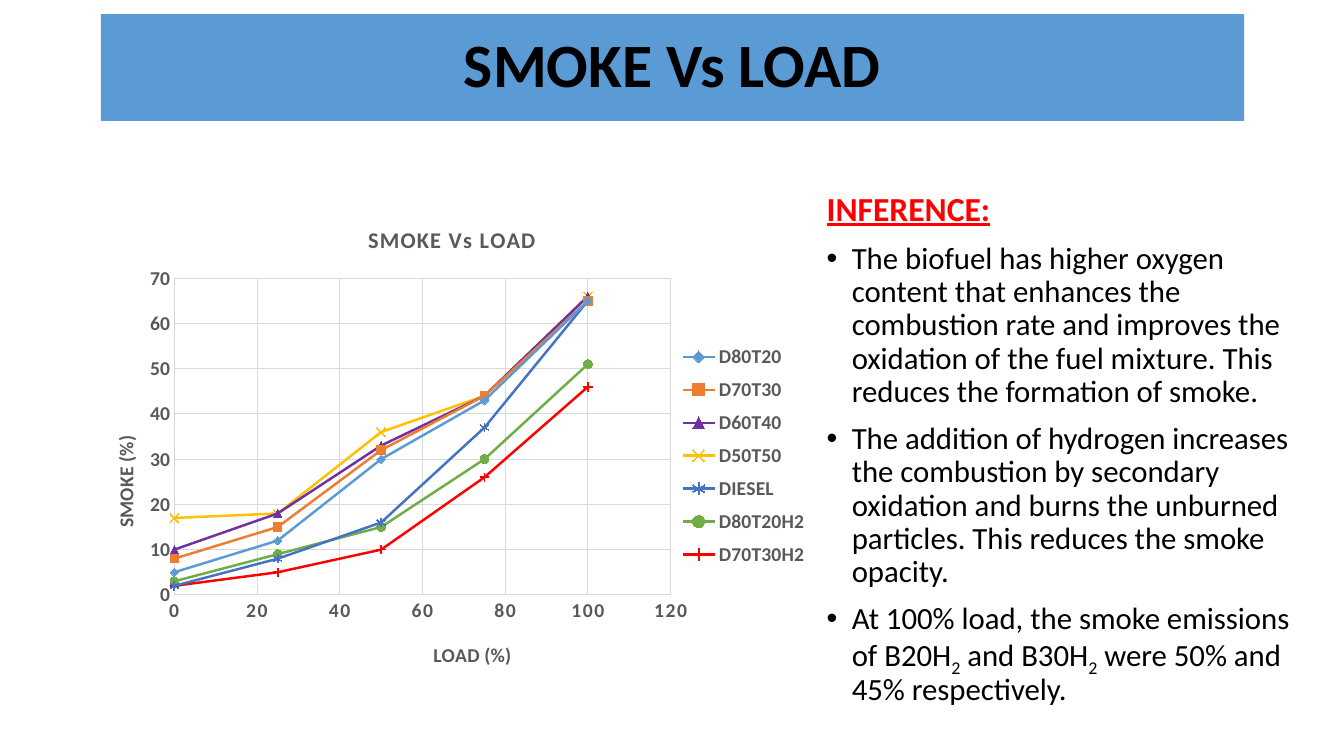
import pptx
import pptx.chart.data
import pptx.dml.color
import pptx.enum.chart
import pptx.enum.text
import pptx.oxml
import pptx.oxml.ns
import pptx.util

Inches = pptx.util.Inches
Pt = pptx.util.Pt
RGBColor = pptx.dml.color.RGBColor
Chart = pptx.enum.chart
qn = pptx.oxml.ns.qn

FACE = "Calibri"
BLACK = RGBColor(0x00, 0x00, 0x00)
RED = RGBColor(0xFF, 0x00, 0x00)
BLUE = RGBColor(0x5B, 0x9B, 0xD5)
ORANGE = RGBColor(0xED, 0x7D, 0x31)
PURPLE = RGBColor(0x70, 0x30, 0xA0)
GOLD = RGBColor(0xFF, 0xC0, 0x00)
NAVY = RGBColor(0x44, 0x72, 0xC4)
GREEN = RGBColor(0x70, 0xAD, 0x47)
GRAY = RGBColor(0x59, 0x59, 0x59)
PALE = RGBColor(0xD9, 0xD9, 0xD9)

LOADS = (0, 25, 50, 75, 100)
MARK = Chart.XL_MARKER_STYLE
FUELS = [
    ("D80T20", (5, 12, 30, 43, 65), BLUE, MARK.DIAMOND),
    ("D70T30", (8, 15, 32, 44, 65), ORANGE, MARK.SQUARE),
    ("D60T40", (10, 18, 33, 44, 66), PURPLE, MARK.TRIANGLE),
    ("D50T50", (17, 18, 36, 44, 66), GOLD, MARK.X),
    ("DIESEL", (2, 8, 16, 37, 65), NAVY, MARK.STAR),
    ("D80T20H2", (3, 9, 15, 30, 51), GREEN, MARK.CIRCLE),
    ("D70T30H2", (2, 5, 10, 26, 46), RED, MARK.PLUS),
]
POINTS = [
    ["The biofuel has higher oxygen content that enhances the combustion rate and "
     "improves the oxidation of the fuel mixture. This reduces the formation of smoke."],
    ["The addition of hydrogen increases the combustion by secondary oxidation and "
     "burns the unburned particles. This reduces the smoke opacity."],
    ["At 100% load, the smoke emissions of B20H", "2", " and B30H", "2",
     " were 50% and 45% respectively."],
]


def style(font, size, color, bold=False):
    font.name = FACE
    font.size = Pt(size)
    font.bold = bold
    font.color.rgb = color


def add_title(slide, left, top, width, height):
    title = slide.shapes.title
    title.left, title.top = Inches(left), Inches(top)
    title.width, title.height = Inches(width), Inches(height)
    title.fill.solid()
    title.fill.fore_color.rgb = BLUE
    title.text_frame.text = "SMOKE Vs LOAD"
    title.text_frame.vertical_anchor = pptx.enum.text.MSO_ANCHOR.MIDDLE
    para = title.text_frame.paragraphs[0]
    para.alignment = pptx.enum.text.PP_ALIGN.CENTER
    para.line_spacing = 0.9
    style(para.font, 44, BLACK, True)


def add_bullet(para):
    props = para._p.get_or_add_pPr()
    props.set("marL", str(Inches(0.25)))
    props.set("indent", str(Inches(-0.25)))
    font = pptx.oxml.ns.nsdecls("a")
    props.append(pptx.oxml.parse_xml(f'<a:buFont {font} typeface="Arial"/>'))
    props.append(pptx.oxml.parse_xml(f'<a:buChar {font} char="•"/>'))


def add_notes(slide, left, top, width, height):
    box = slide.shapes.add_textbox(
        Inches(left), Inches(top), Inches(width), Inches(height))
    frame = box.text_frame
    frame.word_wrap = True
    head = frame.paragraphs[0]
    head.text = "INFERENCE:"
    head.line_spacing = 0.9
    style(head.font, 24, RED, True)
    head.font.underline = True
    for parts in POINTS:
        para = frame.add_paragraph()
        para.line_spacing = 0.9
        para.space_before = Pt(10)
        add_bullet(para)
        style(para.font, 22, BLACK)
        for part in parts:
            run = para.add_run()
            run.text = part
            if part == "2":
                run.font._element.set("baseline", "-25000")


def place(node, index, **spots):
    for old in node.findall(qn("c:layout")):
        node.remove(old)
    inner = "".join(f'<c:{key} val="{val}"/>' for key, val in spots.items())
    names = pptx.oxml.ns.nsdecls("c")
    node.insert(index, pptx.oxml.parse_xml(
        f"<c:layout {names}><c:manualLayout>{inner}</c:manualLayout></c:layout>"))


def set_title(title, text, size, x, y):
    title.text_frame.text = text
    para = title.text_frame.paragraphs[0]
    style(para.font, size, GRAY, True)
    place(title._element, 1, xMode="edge", yMode="edge", x=x, y=y)
    return para.font


def set_axis(axis, top, step, text, x, y):
    axis.minimum_scale = 0
    axis.maximum_scale = top
    axis.major_unit = step
    axis.major_tick_mark = Chart.XL_TICK_MARK.NONE
    axis.minor_tick_mark = Chart.XL_TICK_MARK.NONE
    axis.has_major_gridlines = True
    for line in (axis.format.line, axis.major_gridlines.format.line):
        line.color.rgb = PALE
        line.width = Pt(0.75)
    axis.tick_labels.number_format = "General"
    axis.tick_labels.number_format_is_linked = False
    style(axis.tick_labels.font, 14, GRAY, True)
    set_title(axis.axis_title, text, 14, x, y)


def set_fuel(plot, color, mark):
    plot.smooth = True
    plot.format.line.color.rgb = color
    plot.format.line.width = Pt(1.75)
    plot.marker.style = mark
    plot.marker.size = 6
    plot.marker.format.line.color.rgb = color
    if mark in (MARK.X, MARK.STAR):
        plot.marker.format.fill.background()
    else:
        plot.marker.format.fill.solid()
        plot.marker.format.fill.fore_color.rgb = color


def add_graph(slide, left, top, width, height):
    data = pptx.chart.data.XyChartData()
    for name, values, color, mark in FUELS:
        fuel = data.add_series(name)
        for load, smoke in zip(LOADS, values):
            fuel.add_data_point(load, smoke)
    chart = slide.shapes.add_chart(
        Chart.XL_CHART_TYPE.XY_SCATTER_SMOOTH, Inches(left), Inches(top),
        Inches(width), Inches(height), data).chart
    style(chart.font, 10, BLACK)
    chart.plots[0].vary_by_categories = False
    for plot, (name, values, color, mark) in zip(chart.plots[0].series, FUELS):
        set_fuel(plot, color, mark)

    chart.has_title = True
    font = set_title(chart.chart_title, "SMOKE Vs LOAD", 16, 0.38, 0.04)
    font._element.set("spc", "100")
    set_axis(chart.category_axis, 120, 20, "LOAD (%)", 0.47, 0.91)
    chart.category_axis.tick_labels.font._element.set("spc", "100")
    set_axis(chart.value_axis, 70, 10, "SMOKE (%)", 0.03, 0.48)

    chart.has_legend = True
    chart.legend.position = Chart.XL_LEGEND_POSITION.RIGHT
    chart.legend.include_in_layout = False
    style(chart.legend.font, 14, GRAY, True)
    place(chart.legend._element, 1, xMode="edge", yMode="edge",
          x=0.81, y=0.28, w=0.18, h=0.5)
    area = chart._chartSpace.find(".//" + qn("c:plotArea"))
    place(area, 0, layoutTarget="inner", xMode="edge", yMode="edge",
          x=0.12, y=0.16, w=0.68, h=0.66)


def main():
    deck = pptx.Presentation()
    deck.slide_width = Inches(13.33)
    deck.slide_height = Inches(7.5)
    slide = deck.slides.add_slide(deck.slide_layouts.get_by_name("Title Only"))
    add_title(slide, 1, 0.14, 11.34, 1.06)
    add_notes(slide, 8.1, 1.86, 5.1, 5.36)
    add_graph(slide, 0.86, 2, 7.24, 4.76)
    deck.save("out.pptx")


if __name__ == "__main__":
    main()
